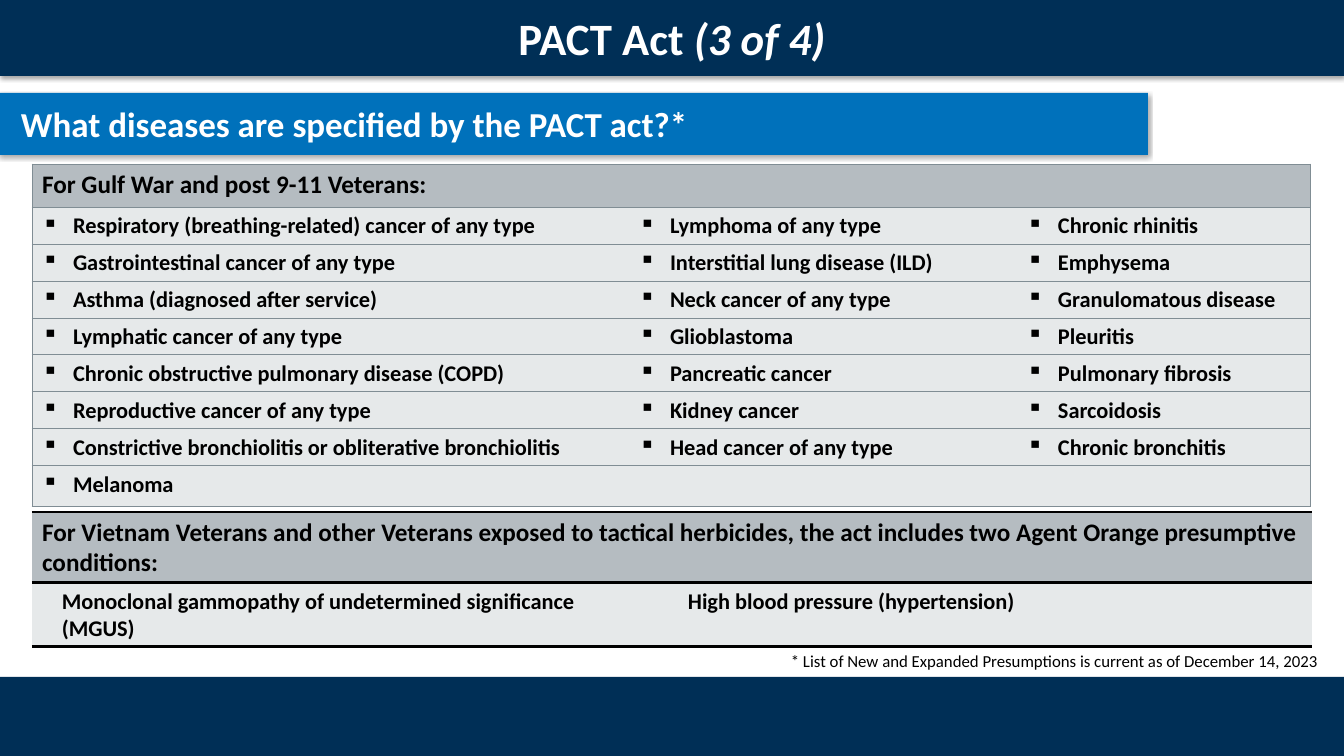
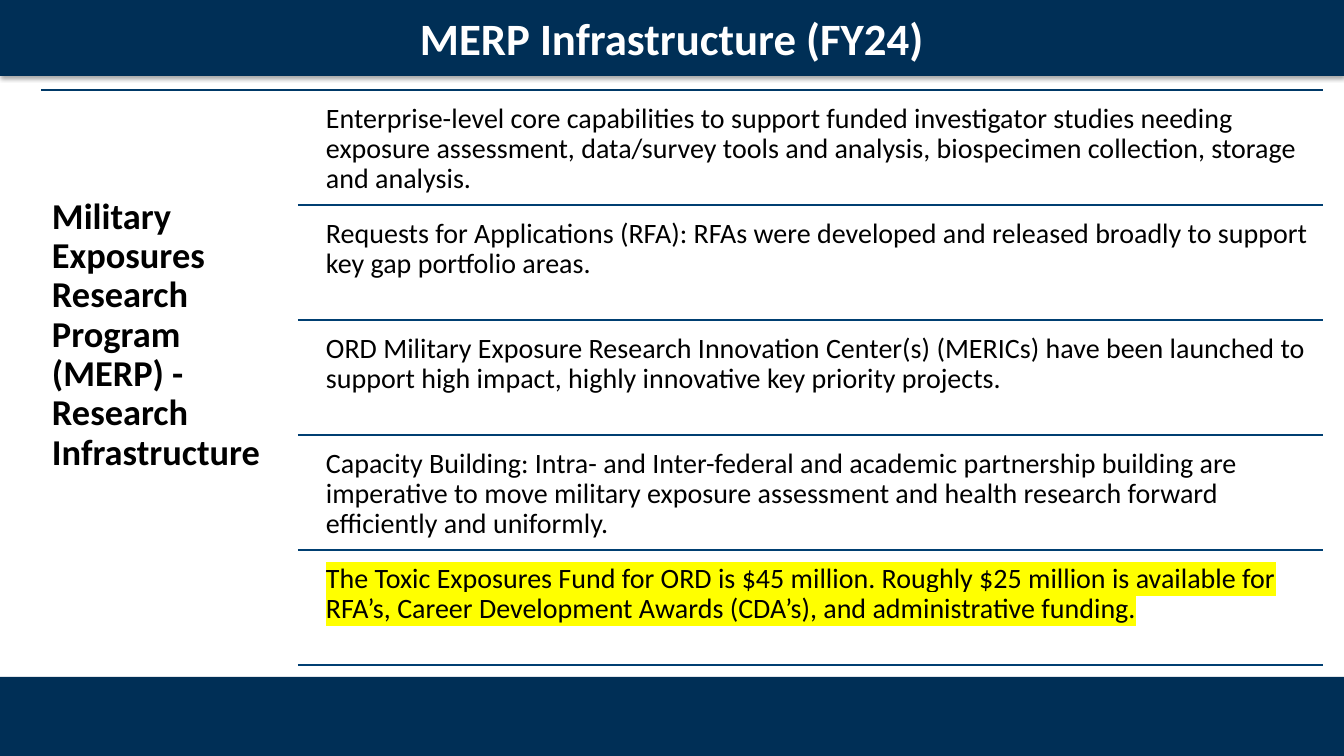
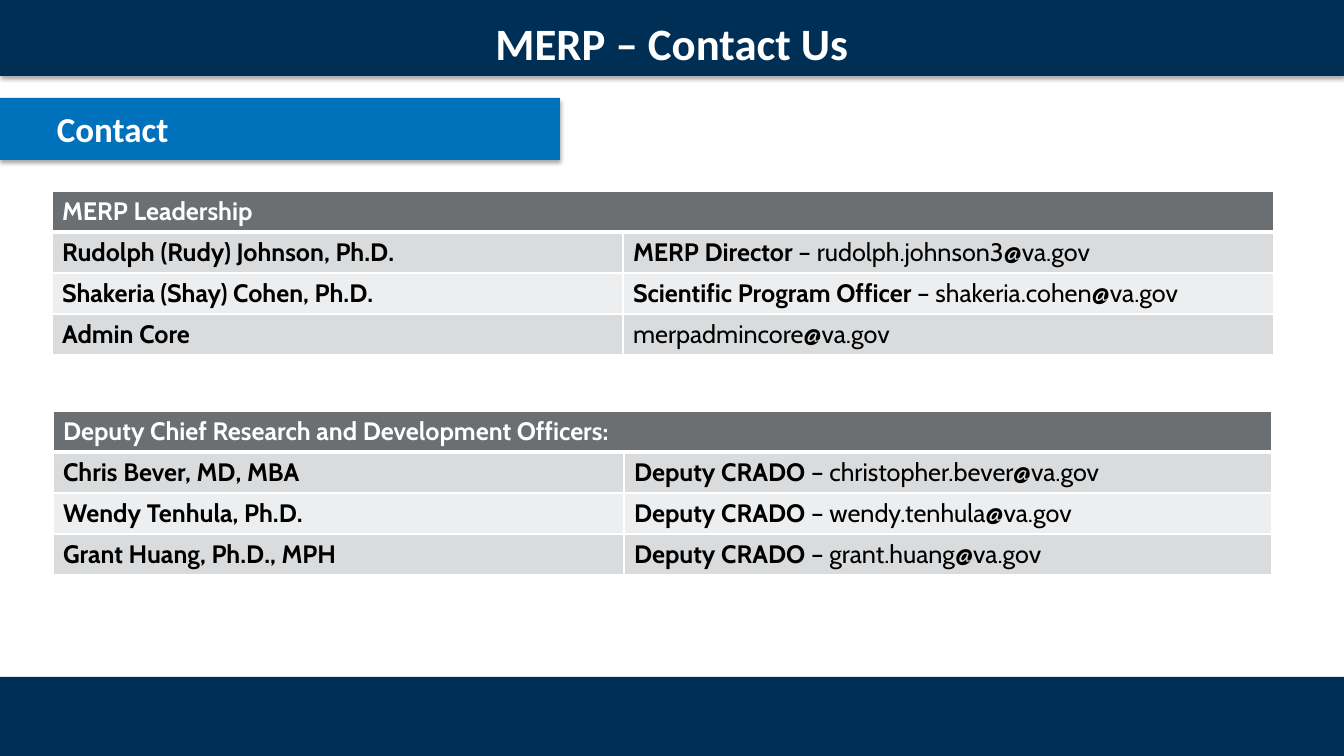
from lxml.etree import SubElement
from pptx import Presentation
from pptx.dml.color import RGBColor
from pptx.enum.shapes import MSO_CONNECTOR, MSO_SHAPE
from pptx.enum.text import MSO_ANCHOR, MSO_AUTO_SIZE, PP_ALIGN
from pptx.oxml.ns import qn
from pptx.util import Emu, Pt

SCALE = 914400 / 100.8
NAVY, BLUE, RULE = "002F56", "0071BB", "003F72"
BLACK, WHITE, YELLOW = "000000", "FFFFFF", "FFFF00"
SLATE, MIST, EDGE = "B5BCC1", "E6E9EA", "808D94"
CHARCOAL, GREY, PALE = "6B6F72", "D9DBDD", "EDEEEF"


def px(n):
    return Emu(round(n * SCALE))


def rgb(color):
    return RGBColor.from_string(color)


def add_xml(parent, tag, **attrs):
    return SubElement(parent, qn("a:" + tag), attrs)


def add_solid(parent, color):
    return add_xml(add_xml(parent, "solidFill"), "srgbClr", val=color)


class Deck:
    def __init__(self):
        self.prs = Presentation()
        self.prs.slide_width, self.prs.slide_height = px(1344), px(756)
        self.layout = self.prs.slide_layouts[5]
        for ph in list(self.layout.placeholders):
            if ph.placeholder_format.idx:
                ph.element.getparent().remove(ph.element)
            else:
                self.place(ph, 0, 0, 1344, 76)
        self.s = None

    def place(self, sp, left, top, width, height):
        sp.left, sp.top, sp.width, sp.height = map(px, (left, top, width, height))

    def start(self, title, drop=0):
        """Add a slide; drop lowers its title by that many px."""
        self.s = self.prs.slides.add_slide(self.layout)
        if len(self.prs.slides) == 1:
            self.share_bands()
        sp = self.s.shapes.title
        if drop:
            self.place(sp, 0, drop, 1344, 76)
        tf = sp.text_frame
        tf.auto_size = MSO_AUTO_SIZE.NONE
        tf.vertical_anchor = MSO_ANCHOR.MIDDLE
        self.set_text(tf, title, 32, WHITE, bold=True, align=PP_ALIGN.CENTER)

    def share_bands(self):
        """Move the two navy bands into the layout, behind its title."""
        bands = [self.rect(0, 677, 1344, 79, NAVY),
                 self.rect(0, 0, 1344, 76, NAVY, shadow=True)]
        for i, sp in enumerate(bands):
            self.layout.shapes.element.insert(2 + i, sp.element)

    def rect(self, left, top, width, height, color, shadow=False):
        sp = self.s.shapes.add_shape(MSO_SHAPE.RECTANGLE,
                                     *map(px, (left, top, width, height)))
        sp.fill.solid()
        sp.fill.fore_color.rgb = rgb(color)
        sp.line.fill.background()
        sp.shadow.inherit = False
        if shadow:
            effects = sp.element.spPr.find(qn("a:effectLst"))
            outer = add_xml(effects, "outerShdw", blurRad="40000", dist="23000",
                            dir="5400000", rotWithShape="0")
            add_xml(add_xml(outer, "srgbClr", val=BLACK), "alpha", val="35000")
        return sp

    def set_text(self, tf, text, size, color=BLACK, font="Calibri", bold=False,
                 align=PP_ALIGN.LEFT, spacing=None, bullet=None, highlight=None):
        """Fill one paragraph; text is a string or (string, font attributes) runs."""
        tf.word_wrap = True
        p = tf.paragraphs[0]
        p.alignment = align
        if spacing:
            p.line_spacing = spacing
        if bullet:
            pPr = p._p.get_or_add_pPr()
            pPr.set("marL", str(px(31)))
            pPr.set("indent", str(-px(31)))
            add_xml(pPr, "buChar", char=bullet)
        f = p.font
        f.name, f.size, f.bold = font, Pt(size), bold
        f.color.rgb = rgb(color)
        for words, attrs in [(text, {})] if isinstance(text, str) else text:
            r = p.add_run()
            r.text = words
            for name, value in attrs.items():
                setattr(r.font, name, value)
            if highlight:
                mark = add_xml(r._r.get_or_add_rPr(), "highlight")
                add_xml(mark, "srgbClr", val=highlight)

    def banner(self, text, top, width, indent):
        tf = self.rect(0, top, width, 62, BLUE, shadow=True).text_frame
        tf.margin_left = px(indent)
        tf.vertical_anchor = MSO_ANCHOR.MIDDLE
        self.set_text(tf, text, 25, WHITE, bold=True)

    def text_box(self, text, left, top, width, height, size, inset=None, **style):
        tf = self.s.shapes.add_textbox(*map(px, (left, top, width, height))).text_frame
        if inset:
            tf.margin_left = tf.margin_right = px(inset)
            tf.margin_top = tf.margin_bottom = px(inset)
        self.set_text(tf, text, size, **style)

    def rule(self, left, right, y, color=RULE):
        line = self.s.shapes.add_connector(MSO_CONNECTOR.STRAIGHT,
                                           px(left), px(y), px(right), px(y))
        line.line.color.rgb = rgb(color)
        line.line.width = Pt(2)
        add_xml(line.element.spPr, "effectLst")

    def style_cell(self, cell, fill, edges):
        """Fill a cell; edges are (color, points) or None for left, right, top, bottom."""
        tcPr = cell._tc.get_or_add_tcPr()
        for side, edge in zip("LRTB", edges):
            if edge:
                add_solid(add_xml(tcPr, "ln" + side, w=str(Pt(edge[1]))), edge[0])
            else:
                add_xml(add_xml(tcPr, "ln" + side, w="0"), "noFill")
        cell.fill.solid()
        cell.fill.fore_color.rgb = rgb(fill)

    def table(self, left, top, widths, heights, head, rows, fills, across,
              under_head=None, outer=None, inner=None, head_color=BLACK,
              size=16, indent=None, font="Calibri", bullet=None):
        """Draw a table whose heading spans the first two columns."""
        t = self.s.shapes.add_table(
            len(heights), len(widths),
            *map(px, (left, top, sum(widths), sum(heights)))).table
        t.first_row = t.horz_banding = False
        for col, width in zip(t.columns, widths):
            col.width = px(width)
        for row, height in zip(t.rows, heights):
            row.height = px(height)
        last = len(widths) - 1
        under_head = under_head or across
        for i in range(len(heights)):
            fill = fills[0] if i == 0 else fills[1 + (i - 1) % (len(fills) - 1)]
            for j in range(len(widths)):
                self.style_cell(t.cell(i, j), fill,
                                (inner if j else outer, outer if j == last else inner,
                                 under_head if i == 1 else across,
                                 across if i else under_head))
        t.cell(0, 0).merge(t.cell(0, 1))
        self.set_text(t.cell(0, 0).text_frame, head, 18, head_color, font, bold=True)
        for i, row in enumerate(rows, 1):
            for j, text in enumerate(row):
                cell = t.cell(i, j)
                if indent:
                    cell.margin_left = px(indent)
                self.set_text(cell.text_frame, text, size, font=font, bold=True,
                              bullet=bullet)

    def contacts(self, left, top, widths, head, people):
        """Draw a table of names, each with a role and an address."""
        rows = []
        for name, role, address in people:
            runs = [(role, {})] if role else []
            rows.append((name, runs + [(address, {"bold": False})]))
        thin = (WHITE, 1)
        self.table(left, top, widths, [41] * 4, head, rows, (CHARCOAL, GREY, PALE),
                   thin, under_head=(WHITE, 3), outer=thin, inner=thin,
                   head_color=WHITE, size=18, font="Cabin")


def pact_act(deck):
    deck.start([("PACT Act ", {}), ("(3 of 4)", {"italic": True})])
    deck.banner("What diseases are specified by the PACT act?*", 93, 1148, 21)
    deck.text_box("* List of New and Expanded Presumptions is current as of "
                  "December 14, 2023", 781, 646, 562, 30, 12)
    diseases = [
        ("Respiratory (breathing-related) cancer of any type",
         "Lymphoma of any type", "Chronic rhinitis"),
        ("Gastrointestinal cancer of any type",
         "Interstitial lung disease (ILD)", "Emphysema"),
        ("Asthma (diagnosed after service)",
         "Neck cancer of any type", "Granulomatous disease"),
        ("Lymphatic cancer of any type", "Glioblastoma", "Pleuritis"),
        ("Chronic obstructive pulmonary disease (COPD)",
         "Pancreatic cancer", "Pulmonary fibrosis"),
        ("Reproductive cancer of any type", "Kidney cancer", "Sarcoidosis"),
        ("Constrictive bronchiolitis or obliterative bronchiolitis",
         "Head cancer of any type", "Chronic bronchitis"),
        ("Melanoma",),
    ]
    hairline = (EDGE, 0.75)
    deck.table(32, 164, (597, 388, 294), [43] + [37] * len(diseases),
               "For Gulf War and post 9-11 Veterans:", diseases, (SLATE, MIST),
               hairline, outer=hairline, bullet="▪")
    deck.table(32, 512, (626, 654), (70, 64),
               "For Vietnam Veterans and other Veterans exposed to tactical herbicides, "
               "the act includes two Agent Orange presumptive conditions:",
               [("Monoclonal gammopathy of undetermined significance (MGUS)",
                 "High blood pressure (hypertension)")],
               (SLATE, MIST), (BLACK, 2), indent=30)


def infrastructure(deck):
    deck.start("MERP Infrastructure (FY24)")
    top, pitch = 90, 115
    deck.rule(41, 1323, top, "003967")
    deck.text_box("Military Exposures Research Program (MERP) - Research Infrastructure",
                  41, 187, 256, 484, 26, inset=11, bold=True, spacing=0.9)
    items = [
        "Enterprise-level core capabilities to support funded investigator studies "
        "needing exposure assessment, data/survey tools and analysis, biospecimen "
        "collection, storage and analysis.",
        "Requests for Applications (RFA): RFAs were developed and released broadly "
        "to support key gap portfolio areas.",
        "ORD Military Exposure Research Innovation Center(s) (MERICs) have been "
        "launched to support high impact, highly innovative key priority projects.",
        "Capacity Building: Intra- and Inter-federal and academic partnership "
        "building are imperative to move military exposure assessment and health "
        "research forward efficiently and uniformly.",
        "The Toxic Exposures Fund for ORD is $45 million. Roughly $25 million is "
        "available for RFA’s, Career Development Awards (CDA’s), and administrative "
        "funding.",
    ]
    for i, item in enumerate(items):
        y = top + i * pitch
        deck.text_box(item, 318, y + 6, 1006, 110, 20, inset=8, spacing=0.9,
                      highlight=YELLOW if item == items[-1] else None)
        deck.rule(298, 1323, y + pitch)


def contact_us(deck):
    deck.start("MERP – Contact Us", drop=5)
    deck.banner("Contact", 98, 560, 57)
    deck.contacts(52, 191, (571, 651), "MERP Leadership", [
        ("Rudolph (Rudy) Johnson, Ph.D.", "MERP Director ", "– rudolph.johnson3@va.gov"),
        ("Shakeria (Shay) Cohen, Ph.D.", "Scientific Program Officer ",
         "– shakeria.cohen@va.gov"),
        ("Admin Core", "", "merpadmincore@va.gov"),
    ])
    deputy = "Deputy CRADO "
    deck.contacts(53, 411, (571, 648), "Deputy Chief Research and Development Officers:", [
        ("Chris Bever, MD, MBA", deputy, "– christopher.bever@va.gov"),
        ("Wendy Tenhula, Ph.D.", deputy, "– wendy.tenhula@va.gov"),
        ("Grant Huang, Ph.D., MPH", deputy, "– grant.huang@va.gov"),
    ])


def main():
    deck = Deck()
    for build in (pact_act, infrastructure, contact_us):
        build(deck)
    deck.prs.save("out.pptx")


if __name__ == "__main__":
    main()
